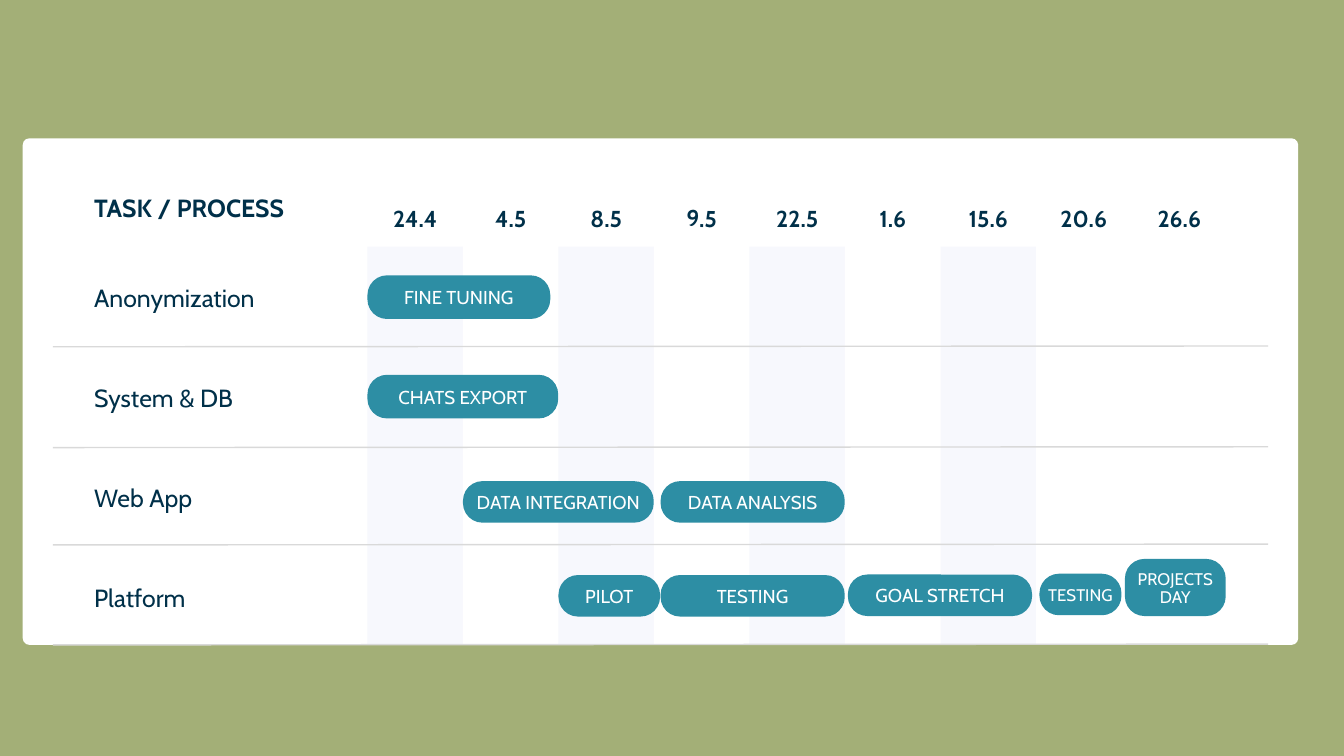
"""Build a project timeline slide with task rows, date columns and activity bars."""
from pptx import Presentation
from pptx import util as u
from pptx.dml.color import RGBColor
from pptx.enum import shapes, text
from pptx.oxml.ns import qn
from lxml import etree

OLIVE = RGBColor(0xA3, 0xAF, 0x77)
WHITE = RGBColor(0xFF, 0xFF, 0xFF)
BAND = RGBColor(0xF7, 0xF8, 0xFD)
NAVY = RGBColor(0x00, 0x30, 0x49)
TEAL = RGBColor(0x2D, 0x8E, 0xA4)
GREY = RGBColor(0xD9, 0xD9, 0xD9)

HEADING = "TASK / PROCESS"
TASKS = ["Anonymization", "System & DB", "Web App", "Platform"]
DATES = ["24.4", "4.5", "8.5", "9.5", "22.5", "1.6", "15.6", "20.6", "26.6"]
TILTED = {"9.5": 1}
RULES = [13.11, 16.92, 20.6, 24.38]
BARS = [
    ("FINE TUNING", 13.89, 10.41, 6.91, 1.65, 20, 21),
    ("CHATS EXPORT", 13.89, 14.17, 7.21, 1.65, 20, 21),
    ("DATA INTEGRATION", 17.5, 18.19, 7.21, 1.57, 20, 21),
    ("DATA ANALYSIS", 24.97, 18.19, 6.96, 1.57, 20, 21),
    ("PILOT", 21.11, 21.74, 3.84, 1.57, 20, 21),
    ("TESTING", 24.97, 21.74, 6.96, 1.57, 20, 21),
    ("GOAL STRETCH", 32.05, 21.72, 6.96, 1.57, 20, 21),
    ("TESTING", 39.29, 21.69, 3.1, 1.57, 18, 19.9),
    ("PROJECTS DAY", 42.52, 21.13, 3.81, 2.16, 18, 18.9),
]
CARD = (0.86, 5.23, 48.21, 19.15)
COL_LEFT, COL_TOP, COL_W, COL_H = 13.89, 9.32, 3.61, 15.06
LABEL_LEFT, LABEL_W, LABEL_H = 3.56, 8.89, 1.24
HEADING_TOP, TASK_TOP, TASK_STEP = 7.11, 10.49, 3.78
DATE_TOP, DATE_W, DATE_H = 7.85, 2.36, 0.94
RULE_LEFT, RULE_RIGHT, RULE_RISE = 2, 47.93, 0.03
CARD_RADIUS, BAR_RADIUS = 0.25, 0.74

LEFT, CENTER = text.PP_ALIGN.LEFT, text.PP_ALIGN.CENTER
TOP, MIDDLE = text.MSO_ANCHOR.TOP, text.MSO_ANCHOR.MIDDLE


def write(sp, words, size, spacing, color=NAVY, bold=False, align=LEFT, anchor=TOP, top=0):
    tf = sp.text_frame
    frame = {"word_wrap": True, "auto_size": text.MSO_AUTO_SIZE.NONE, "vertical_anchor": anchor,
             "margin_left": 0, "margin_right": 0, "margin_top": u.Cm(top), "margin_bottom": 0}
    for name, value in frame.items():
        setattr(tf, name, value)
    p = tf.paragraphs[0]
    p.alignment, p.line_spacing = align, u.Pt(spacing)
    r = p.add_run()
    r.text = words
    for name, value in {"name": "Cabin", "size": u.Pt(size), "bold": bold}.items():
        setattr(r.font, name, value)
    r.font.color.rgb = color


def add_block(s, box, color, radius=0):
    kind = shapes.MSO_SHAPE.ROUNDED_RECTANGLE if radius else shapes.MSO_SHAPE.RECTANGLE
    sp = s.shapes.add_shape(kind, *map(u.Cm, box))
    if radius:
        sp.adjustments[0] = min(0.5, radius / min(box[2:]))
    sp.shadow.inherit = False
    sp.fill.solid()
    sp.fill.fore_color.rgb = color
    sp.line.fill.background()
    return sp


def add_text(s, box, *args, **kwargs):
    sp = s.shapes.add_textbox(*map(u.Cm, box))
    write(sp, *args, **kwargs)
    return sp


def add_rule(s, y):
    ends = (RULE_LEFT, y, RULE_RIGHT, y - RULE_RISE)
    c = s.shapes.add_connector(shapes.MSO_CONNECTOR.STRAIGHT, *map(u.Cm, ends))
    c.line.color.rgb, c.line.width = GREY, u.Pt(1.5)
    etree.SubElement(c._element.spPr, qn("a:effectLst"))


def main():
    prs = Presentation()
    prs.slide_width, prs.slide_height = u.Cm(50.8), u.Cm(28.58)
    s = prs.slides.add_slide(prs.slide_layouts[5])
    s.background.fill.solid()
    s.background.fill.fore_color.rgb = OLIVE

    add_block(s, CARD, WHITE, CARD_RADIUS)
    for i in range(len(DATES) - 1):
        add_block(s, (COL_LEFT + i * COL_W, COL_TOP, COL_W, COL_H), WHITE if i % 2 else BAND)

    title = s.shapes.title
    box = {"left": LABEL_LEFT, "top": HEADING_TOP, "width": LABEL_W, "height": LABEL_H}
    for name, value in box.items():
        setattr(title, name, u.Cm(value))
    write(title, HEADING, 26.6, 37.2, bold=True)
    s.shapes._spTree.append(title._element)

    for i, task in enumerate(TASKS):
        add_text(s, (LABEL_LEFT, TASK_TOP + i * TASK_STEP, LABEL_W, LABEL_H), task, 26.6, 37.2)
    for i, date in enumerate(DATES):
        x = COL_LEFT + (i + 0.5) * COL_W - DATE_W / 2
        sp = add_text(s, (x, DATE_TOP, DATE_W, DATE_H), date, 24.7, 25.9, bold=True, align=CENTER)
        sp.rotation = TILTED.get(date, 0)
    for y in RULES:
        add_rule(s, y)
    for label, x, y, w, h, size, spacing in BARS:
        sp = add_block(s, (x, y, w, h), TEAL, BAR_RADIUS)
        write(sp, label, size, spacing, WHITE, align=CENTER, anchor=MIDDLE, top=0.1)

    prs.save("out.pptx")


if __name__ == "__main__":
    main()
